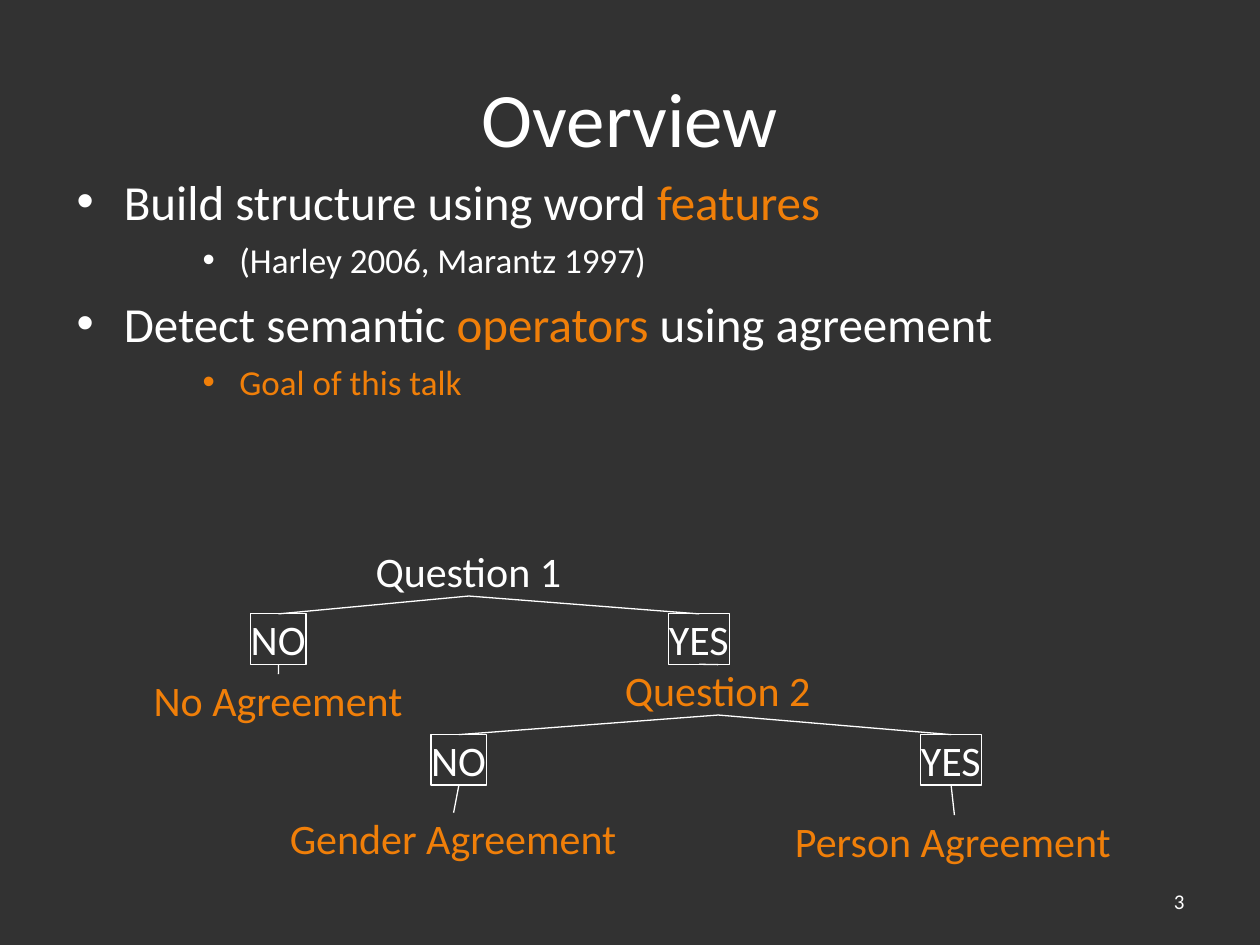
"""Build the Overview slide with its bullets and agreement decision tree."""
import pptx
import pptx.dml.color
import pptx.enum.shapes
import pptx.enum.text
import pptx.oxml.ns
import pptx.util
import lxml.etree

Pt = pptx.util.Pt
WHITE, ORANGE = "FFFFFF", "F07F09"
ALIGN = pptx.enum.text.PP_ALIGN
MIDDLE = pptx.enum.text.MSO_ANCHOR.MIDDLE
qn = pptx.oxml.ns.qn


def color(value):
    """Turn a hex string into a colour."""
    return pptx.dml.color.RGBColor.from_string(value)


def add_run(paragraph, text, size, value=WHITE):
    """Append a formatted run to a paragraph."""
    run = paragraph.add_run()
    run.text = text
    run.font.name = "Calibri"
    run.font.size = Pt(size)
    run.font.color.rgb = color(value)


presentation = pptx.Presentation()
presentation.slide_width, presentation.slide_height = Pt(720), Pt(540)
slide = presentation.slides.add_slide(presentation.slide_layouts[5])
slide.background.fill.solid()
slide.background.fill.fore_color.rgb = color("323232")

title = slide.shapes.title
title.left, title.top, title.width, title.height = Pt(36), Pt(21.6), Pt(648), Pt(90)
title.text_frame.vertical_anchor = MIDDLE
title_paragraph = title.text_frame.paragraphs[0]
title_paragraph.alignment = ALIGN.CENTER
add_run(title_paragraph, "Overview", 44)

number = slide.shapes.add_textbox(Pt(516.2), Pt(500.4), Pt(167.8), Pt(28.8))
number.text_frame.word_wrap = True
number.text_frame.vertical_anchor = MIDDLE
number_paragraph = number.text_frame.paragraphs[0]
number_paragraph.alignment = ALIGN.RIGHT
add_run(number_paragraph, "3", 12)

bullets = [
    (0, WHITE, [("Build structure using word ", WHITE), ("features", ORANGE)]),
    (2, WHITE, [("(Harley 2006, Marantz 1997)", WHITE)]),
    (0, WHITE, [("Detect semantic ", WHITE), ("operators", ORANGE), (" using agreement", WHITE)]),
    (2, ORANGE, [("Goal of this talk", ORANGE)]),
]
level_styles = {0: (28, 7, 27, -27), 2: (20, 5, 93, -21)}
body = slide.shapes.add_textbox(Pt(36.7), Pt(94.3), Pt(648), Pt(425.5))
body.text_frame.word_wrap = True
for index, (level, bullet_color, runs) in enumerate(bullets):
    size, space, margin, indent = level_styles[level]
    paragraph = body.text_frame.paragraphs[0] if index == 0 else body.text_frame.add_paragraph()
    paragraph.level = level
    properties = paragraph._p.get_or_add_pPr()
    properties.set("marL", str(Pt(margin)))
    properties.set("indent", str(Pt(indent)))
    bullet_fill = lxml.etree.SubElement(properties, qn("a:buClr"))
    lxml.etree.SubElement(bullet_fill, qn("a:srgbClr"), val=bullet_color)
    lxml.etree.SubElement(properties, qn("a:buFont"), typeface="Arial")
    lxml.etree.SubElement(properties, qn("a:buChar"), char="•")
    if index:
        paragraph.space_before = Pt(space)
    for text, value in runs:
        add_run(paragraph, text, size, value)

nodes = [
    ("question 1", "Question 1", 214.6, 311.8, 106.6, WHITE, False),
    ("no 1", "NO", 143.3, 350.8, 31.7, WHITE, True),
    ("yes 1", "YES", 382.2, 350.8, 34.6, WHITE, True),
    ("no agreement", "No Agreement", 87.8, 385.2, 142.6, ORANGE, False),
    ("question 2", "Question 2", 357.1, 379.8, 106.6, ORANGE, False),
    ("no 2", "NO", 246.4, 419.8, 31.7, WHITE, True),
    ("yes 2", "YES", 526.2, 419.8, 34.6, WHITE, True),
    ("gender agreement", "Gender Agreement", 165.6, 464.4, 187.2, ORANGE, False),
    ("person agreement", "Person Agreement", 454.3, 465.8, 182.2, ORANGE, False),
]
node_shapes = {}
for name, text, left, top, width, value, framed in nodes:
    place = (Pt(left), Pt(top), Pt(width), Pt(28.8))
    if framed:
        shape = slide.shapes.add_shape(pptx.enum.shapes.MSO_SHAPE.RECTANGLE, *place)
        shape.shadow.inherit = False
        shape.fill.background()
        shape.line.color.rgb = color(WHITE)
        shape.line.width = Pt(0.75)
    else:
        shape = slide.shapes.add_textbox(*place)
    frame = shape.text_frame
    frame.margin_left = frame.margin_top = frame.margin_right = frame.margin_bottom = 0
    frame.word_wrap = False
    frame.auto_size = pptx.enum.text.MSO_AUTO_SIZE.SHAPE_TO_FIT_TEXT
    frame.vertical_anchor = MIDDLE
    frame.paragraphs[0].alignment = ALIGN.LEFT
    add_run(frame.paragraphs[0], text, 24, value)
    node_shapes[name] = shape

branches = [
    ("question 1", "no 1"), ("question 1", "yes 1"),
    ("no 1", "no agreement"), ("yes 1", "question 2"),
    ("question 2", "no 2"), ("question 2", "yes 2"),
    ("no 2", "gender agreement"), ("yes 2", "person agreement"),
]
for parent, child in branches:
    connector = slide.shapes.add_connector(pptx.enum.shapes.MSO_CONNECTOR.STRAIGHT, 0, 0, 0, 0)
    connector.begin_connect(node_shapes[parent], 2)
    connector.end_connect(node_shapes[child], 0)
    connector.line.color.rgb = color(WHITE)
    connector.line.width = Pt(0.75)
    lxml.etree.SubElement(connector._element.spPr, qn("a:effectLst"))

presentation.save("out.pptx")
